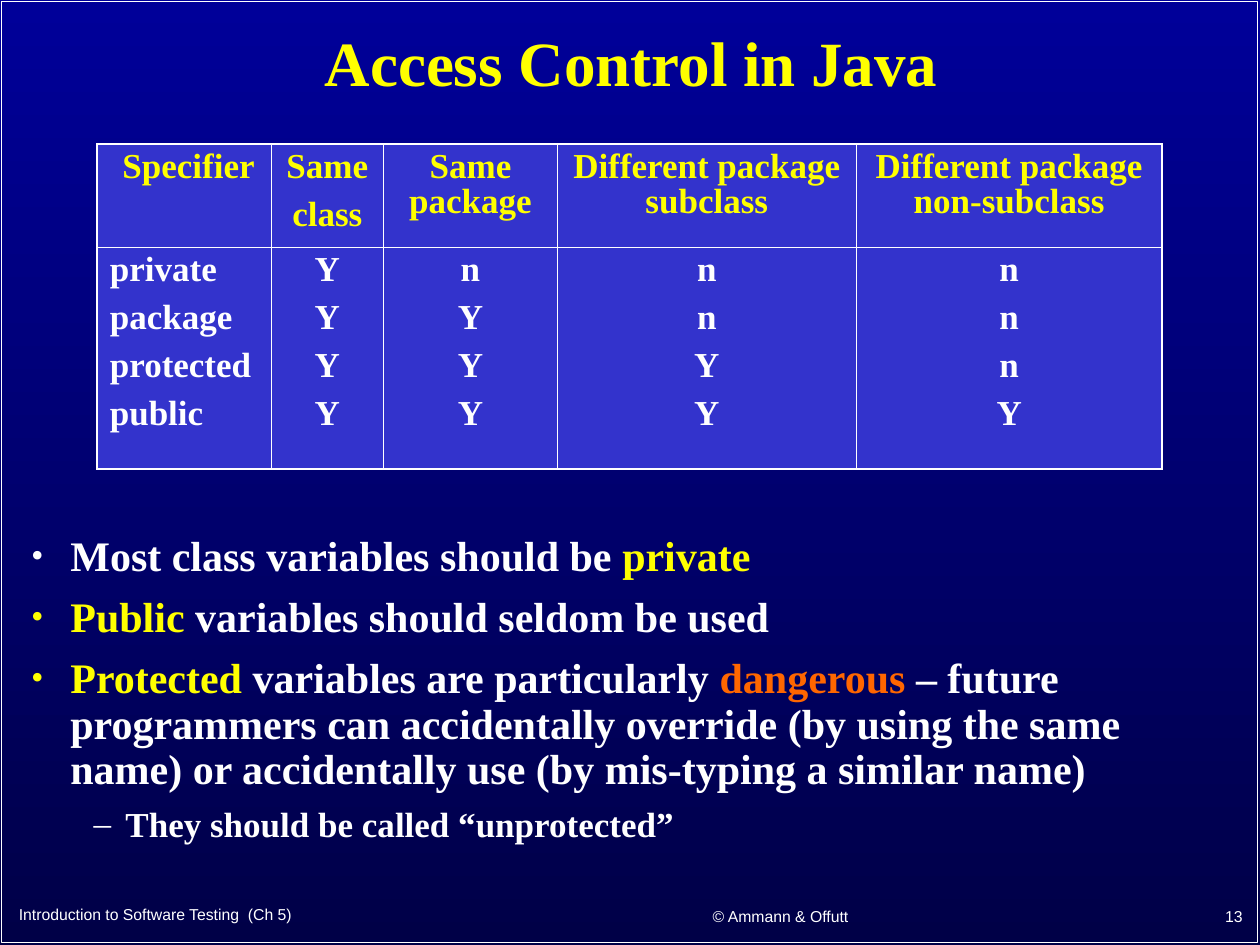
from collections import namedtuple
from dataclasses import dataclass

from lxml.etree import SubElement
from pptx import Presentation
from pptx.dml.color import RGBColor
from pptx.enum.shapes import MSO_SHAPE
from pptx.enum.text import MSO_ANCHOR, PP_ALIGN
from pptx.oxml.ns import qn
from pptx.util import Cm, Pt

Box = namedtuple("Box", "left top width height")


@dataclass(frozen=True)
class Theme:
    """Colours, fonts and type sizes of the slide."""
    sky: str = "000099"
    night: str = "000047"
    cell: str = "3333CC"
    text: str = "FFFFFF"
    accent: str = "FFFF00"
    warning: str = "FF6600"
    serif: str = "Times New Roman"
    sans: str = "Arial"
    title_size: int = 36
    point_size: int = 24
    detail_size: int = 20
    footer_size: int = 9
    frame_line: float = 1
    outer_border: float = 1.08
    inner_border: float = 0.45


THEME = Theme()
COLUMN_WIDTHS = [3.51, 2.26, 3.51, 6.02, 6.17]
ROW_HEIGHTS = [2.08, 4.47]
HEADINGS = [" Specifier", "Same\nclass", "Same package",
            "Different package subclass", "Different package non-subclass"]
ACCESS = ["private\npackage\nprotected\npublic",
          "Y\nY\nY\nY", "n\nY\nY\nY", "n\nn\nY\nY", "n\nn\nn\nY"]
POINTS = [
    (0, [("Most class variables should be ", THEME.text), ("private", THEME.accent)]),
    (0, [("Public", THEME.accent), (" variables should seldom be used", THEME.text)]),
    (0, [("Protected", THEME.accent), (" variables are particularly ", THEME.text),
         ("dangerous", THEME.warning),
         (" – future programmers can accidentally override (by using the same name)"
          " or accidentally use (by mis-typing a similar name)", THEME.text)]),
    (1, [("They should be called “unprotected”", THEME.text)]),
]
FOOTERS = [
    ("Introduction to Software Testing  (Ch 5)", PP_ALIGN.LEFT, Box(0.13, 18.06, 11.13, 0.76)),
    ("© Ammann & Offutt", PP_ALIGN.CENTER, Box(11.71, 18.08, 8.05, 0.79)),
    ("13", PP_ALIGN.RIGHT, Box(20.02, 18.06, 5.28, 0.81)),
]


def lengths(box):
    """Return the sides of a box as lengths."""
    return [Cm(side) for side in box]


def style_run(run, size, color, font=THEME.serif, bold=True):
    """Format one run of text."""
    run.font.name, run.font.size, run.font.bold = font, Pt(size), bold
    run.font.color.rgb = RGBColor.from_string(color)


def space_paragraph(paragraph, before):
    """Tighten the lines of a paragraph and set the gap above it."""
    paragraph.line_spacing = 0.9
    paragraph.space_before = Pt(before)


def paint_background(slide):
    """Fill the slide with a gradient that darkens downwards."""
    fill = slide.background.fill
    fill.gradient()
    fill.gradient_angle = 270
    for stop, color in zip(fill.gradient_stops, (THEME.sky, THEME.night)):
        stop.color.rgb = RGBColor.from_string(color)


def add_frame(slide, box):
    """Draw the thin outline around the slide."""
    frame = slide.shapes.add_shape(MSO_SHAPE.RECTANGLE, *lengths(box))
    frame.shadow.inherit = False
    frame.fill.background()
    frame.line.color.rgb = RGBColor.from_string(THEME.text)
    frame.line.width = Pt(THEME.frame_line)


def place_title(slide, box, wording):
    """Move the title placeholder into the box and format it."""
    title = slide.shapes.title
    title.left, title.top, title.width, title.height = lengths(box)
    title.text_frame.text = wording
    title.text_frame.vertical_anchor = MSO_ANCHOR.MIDDLE
    heading = title.text_frame.paragraphs[0]
    heading.alignment = PP_ALIGN.CENTER
    space_paragraph(heading, 0)
    style_run(heading.runs[0], THEME.title_size, THEME.accent)


def set_borders(cell, outer_sides):
    """Line a cell, with heavier lines on its outer sides."""
    properties = cell._tc.get_or_add_tcPr()
    for position, side in enumerate(("lnL", "lnR", "lnT", "lnB")):
        width = THEME.outer_border if side in outer_sides else THEME.inner_border
        border = properties.makeelement(qn(f"a:{side}"), {"w": str(Pt(width))})
        SubElement(SubElement(border, qn("a:solidFill")), qn("a:srgbClr"), val=THEME.text)
        properties.insert(position, border)


def add_access_table(slide, box):
    """Build the table of specifiers and where they give access."""
    rows = [HEADINGS, ACCESS]
    table = slide.shapes.add_table(len(rows), len(HEADINGS), *lengths(box)).table
    table.first_row = table.horz_banding = False
    for column, width in zip(table.columns, COLUMN_WIDTHS):
        column.width = Cm(width)
    for r, (height, wordings) in enumerate(zip(ROW_HEIGHTS, rows)):
        table.rows[r].height = Cm(height)
        for c, wording in enumerate(wordings):
            cell = table.cell(r, c)
            cell.fill.solid()
            cell.fill.fore_color.rgb = RGBColor.from_string(THEME.cell)
            outer_sides = {"lnT" if r == 0 else "lnB"}
            outer_sides |= {"lnL"} if c == 0 else set()
            outer_sides |= {"lnR"} if c == len(HEADINGS) - 1 else set()
            set_borders(cell, outer_sides)
            cell.text_frame.text = wording
            for number, paragraph in enumerate(cell.text_frame.paragraphs):
                is_specifier = r == 1 and c == 0
                paragraph.alignment = PP_ALIGN.LEFT if is_specifier else PP_ALIGN.CENTER
                space_paragraph(paragraph, 7.5 if number else 0)
                style_run(paragraph.runs[0], THEME.detail_size,
                          THEME.text if r else THEME.accent)


def add_bullet(paragraph, level, color):
    """Give a paragraph the bullet and hanging indent of its level."""
    mark, percent, margin, hanging = [("•", 85, 0.79, 0.79), ("–", 100, 1.9, 0.64)][level]
    paragraph.level = level
    properties = paragraph._p.get_or_add_pPr()
    properties.set("marL", str(Cm(margin)))
    properties.set("indent", str(-Cm(hanging)))
    SubElement(SubElement(properties, qn("a:buClr")), qn("a:srgbClr"), val=color)
    SubElement(properties, qn("a:buSzPct"), val=str(percent * 1000))
    SubElement(properties, qn("a:buFont"), typeface=THEME.serif)
    SubElement(properties, qn("a:buChar"), char=mark)


def add_points(slide, box):
    """Write the bulleted advice on class variables."""
    advice = slide.shapes.add_textbox(*lengths(box)).text_frame
    advice.word_wrap = True
    for number, (level, pieces) in enumerate(POINTS):
        point = advice.add_paragraph() if number else advice.paragraphs[0]
        add_bullet(point, level, pieces[0][1])
        space_paragraph(point, (7.5 if level else 9) if number else 0)
        for wording, color in pieces:
            run = point.add_run()
            run.text = wording
            style_run(run, THEME.detail_size if level else THEME.point_size, color)


def add_footer(slide, box, wording, alignment):
    """Write one part of the footer."""
    footer = slide.shapes.add_textbox(*lengths(box)).text_frame
    footer.word_wrap = True
    footer.vertical_anchor = MSO_ANCHOR.MIDDLE
    footer.text = wording
    footer.paragraphs[0].alignment = alignment
    style_run(footer.paragraphs[0].runs[0], THEME.footer_size, THEME.text, THEME.sans, False)


def main():
    """Build the slide and save it."""
    deck = Presentation()
    deck.slide_width, deck.slide_height = Cm(25.4), Cm(19.05)
    slide = deck.slides.add_slide(deck.slide_layouts[5])
    paint_background(slide)
    add_frame(slide, Box(0.03, 0.03, 25.32, 18.97))
    place_title(slide, Box(0.48, 0.28, 24.49, 2.11), "Access Control in Java")
    add_access_table(slide, Box(1.96, 2.9, sum(COLUMN_WIDTHS), sum(ROW_HEIGHTS)))
    add_points(slide, Box(0.38, 10.67, 24.64, 6.76))
    for wording, alignment, box in FOOTERS:
        add_footer(slide, box, wording, alignment)
    deck.save("out.pptx")


if __name__ == "__main__":
    main()
